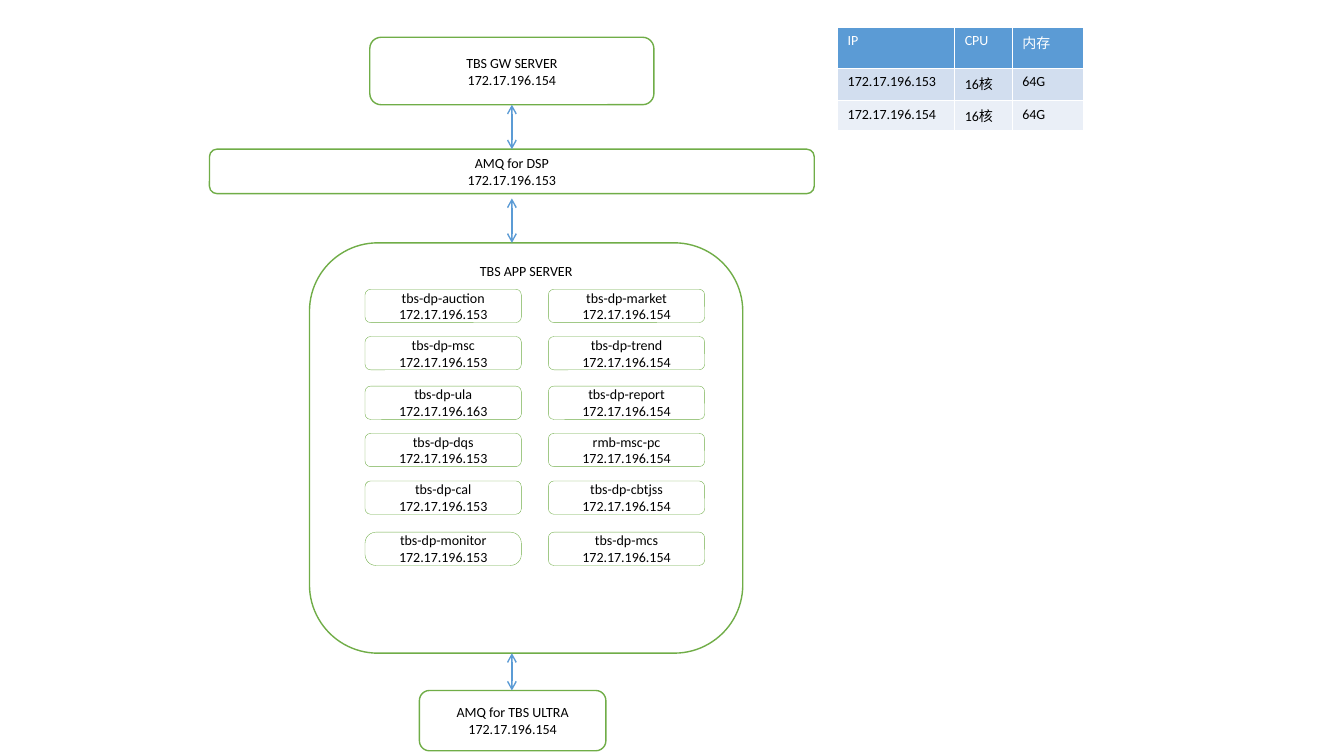
from pptx import Presentation
from pptx import util as u
from pptx.dml.color import RGBColor
from pptx.enum import shapes as s, text as t
from pptx.oxml import parse_xml
from pptx.oxml.ns import nsdecls

HUES = {"white": "FFFFFF", "black": "000000", "green": "70AD47",
        "blue": "5B9BD5", "odd": "D2DEEF", "even": "EAEFF7"}
FONT = {"name": "Calibri", "size": u.Pt(10), "bold": False}
BODY = {"word_wrap": True, "margin_top": 0, "margin_bottom": 0}


def hue(name):
    return RGBColor.from_string(HUES[name])


def write(frame, lines, ink, align):
    frame.text = "\n".join(lines)
    for para in frame.paragraphs:
        para.alignment = align
        for key, val in FONT.items():
            setattr(para.font, key, val)
        para.font.color.rgb = hue(ink)


deck = Presentation()
deck.slide_width, deck.slide_height = u.Cm(33.87), u.Cm(19.05)
slide = deck.slides.add_slide(deck.slide_layouts[6])

# Servers and queues: place, line width, anchor, text
MID, TOP = t.MSO_ANCHOR.MIDDLE, t.MSO_ANCHOR.TOP
boxes = [
    ((7.8, 6.12, 10.92, 10.34), 1, TOP, ["TBS APP SERVER"]),
    ((9.32, 0.94, 7.16, 1.7), 1, MID, ["TBS GW SERVER", "172.17.196.154"]),
    ((5.28, 3.76, 15.24, 1.12), 1, MID, ["AMQ for DSP", "172.17.196.153"]),
    ((10.57, 17.4, 4.7, 1.52), 1, MID, ["AMQ for TBS ULTRA", "172.17.196.154"]),
]

# Services in two columns, with the last part of each address
tops = [7.29, 8.48, 9.73, 10.92, 12.12, 13.41]
cols = {
    9.2: [("auction", 153), ("msc", 153), ("ula", 163),
          ("dqs", 153), ("cal", 153), ("monitor", 153)],
    13.82: [("market", 154), ("trend", 154), ("report", 154),
            ("rmb-msc-pc", 154), ("cbtjss", 154), ("mcs", 154)],
}
for left, apps in cols.items():
    for top, (app, host) in zip(tops, apps):
        name = app if "-" in app else f"tbs-dp-{app}"
        boxes.append(((left, top, 3.94, 0.84), 0.25, MID,
                      [name, f"172.17.196.{host}"]))

for place, width, anchor, lines in boxes:
    box = slide.shapes.add_shape(s.MSO_SHAPE.ROUNDED_RECTANGLE, *map(u.Cm, place))
    box.shadow.inherit = False
    box.fill.solid()
    box.fill.fore_color.rgb = hue("white")
    box.line.color.rgb = hue("green")
    box.line.width = u.Pt(width)
    if "tbs-dp-monitor" in lines:
        box.adjustments[0] = 0.33
    frame = box.text_frame
    for key, val in BODY.items():
        setattr(frame, key, val)
    frame.vertical_anchor = anchor
    write(frame, lines, "black", t.PP_ALIGN.CENTER)

# Two-way arrows
axis = u.Cm(12.9)
for top, end in [(2.64, 3.76), (5, 6.12), (16.46, 17.4)]:
    link = slide.shapes.add_connector(s.MSO_CONNECTOR.STRAIGHT,
                                      axis, u.Cm(top), axis, u.Cm(end))
    link.line.color.rgb = hue("blue")
    link.line.width = u.Pt(1)
    for tag in ("headEnd", "tailEnd"):
        link.line._ln.append(parse_xml(f'<a:{tag} {nsdecls("a")} type="arrow"/>'))
    link._element.spPr.append(parse_xml(f'<a:effectLst {nsdecls("a")}/>'))

# Host table
hosts = [["IP", "CPU", "内存"],
         ["172.17.196.153", "16核", "64G"],
         ["172.17.196.154", "16核", "64G"]]
wide, high = [2.95, 1.45, 1.8], [1.04, 0.81, 0.74]
grid = slide.shapes.add_table(3, 3, u.Cm(21.11), u.Cm(0.69),
                              u.Cm(sum(wide)), u.Cm(sum(high))).table
for col, size in zip(grid.columns, wide):
    col.width = u.Cm(size)
for row, size, vals, fill in zip(grid.rows, high, hosts, ["blue", "odd", "even"]):
    row.height = u.Cm(size)
    for cell, val in zip(row.cells, vals):
        cell.fill.solid()
        cell.fill.fore_color.rgb = hue(fill)
        ink = "white" if fill == "blue" else "black"
        write(cell.text_frame, [val], ink, t.PP_ALIGN.LEFT)

deck.save("out.pptx")
